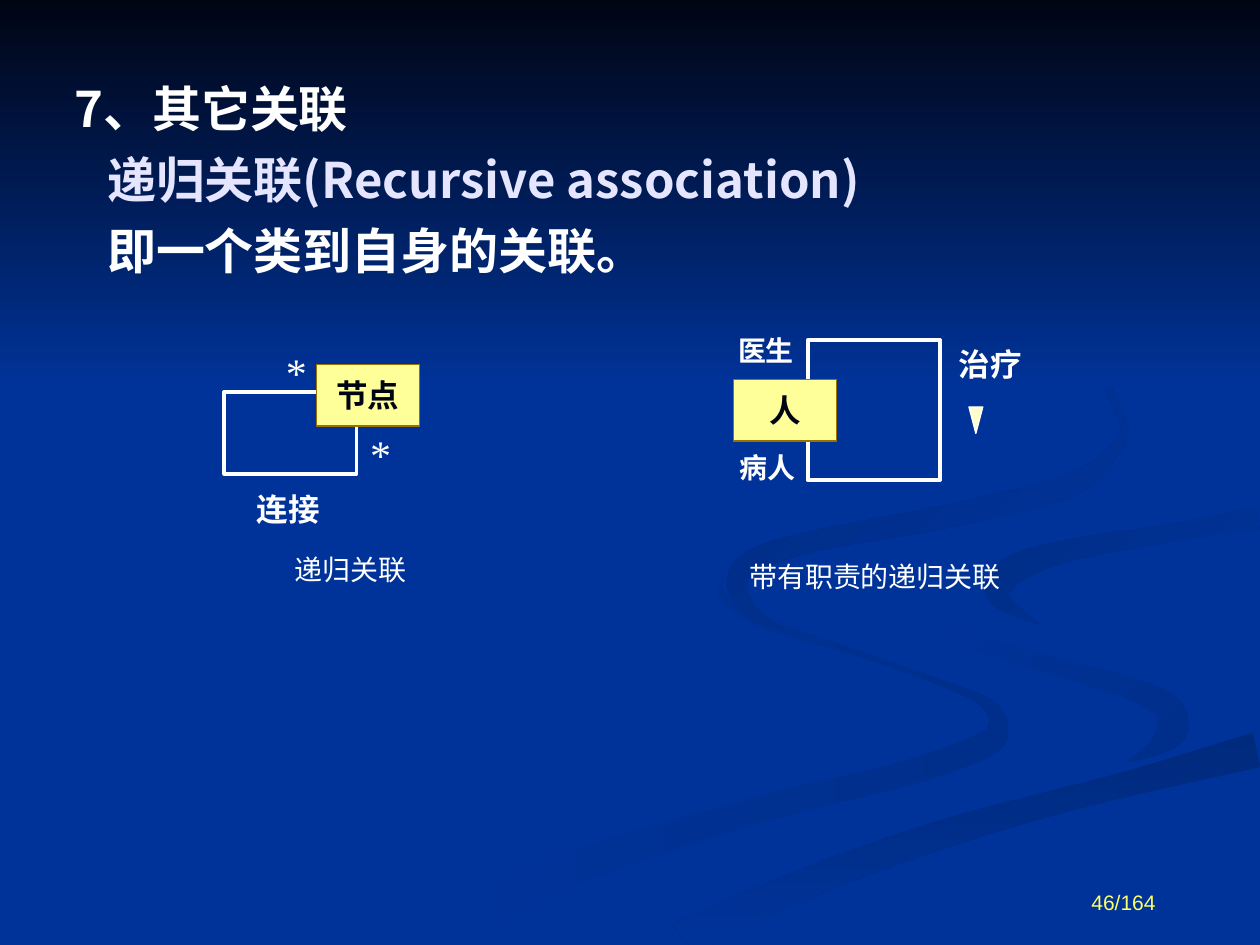
"""Build the slide on recursive associations, over a background of tapering ribbons."""
from math import hypot

from pptx import Presentation
from pptx.dml.color import RGBColor
from pptx.enum.shapes import MSO_SHAPE as SHAPE
from pptx.enum.text import MSO_ANCHOR as ANCHOR, MSO_AUTO_SIZE as AUTO, PP_ALIGN as ALIGN
from pptx.oxml.ns import qn
from pptx.util import Inches, Pt

BLUE = RGBColor(0x00, 0x33, 0x99)
NAVY = RGBColor(0x00, 0x05, 0x14)
SHADE = RGBColor(0x00, 0x2E, 0x8B)
SHADE_DARK = RGBColor(0x00, 0x2A, 0x7D)
SHADE_MID = RGBColor(0x00, 0x2D, 0x86)
SHADE_TOP = RGBColor(0x00, 0x2B, 0x82)
WHITE = RGBColor(0xFF, 0xFF, 0xFF)
LAVENDER = RGBColor(0xE5, 0xE5, 0xFF)
YELLOW = RGBColor(0xFF, 0xFF, 0x99)
CREAM = RGBColor(0xFF, 0xFF, 0xCC)
BROWN = RGBColor(0x9A, 0x72, 0x00)
LEMON = RGBColor(0xFF, 0xFF, 0x66)
CJK, SERIF, SANS = "Noto Sans CJK SC", "Times New Roman", "Arial"
WIDTH, HEIGHT = 10, 7.5
STEPS = 6
UNITS = 1000


def ribbon(stations):
    """Outline a Catmull-Rom curve through (x, y, thickness) stations."""
    padded = [stations[0], *stations, stations[-1]]
    curve = []
    for quad in zip(padded, padded[1:], padded[2:], padded[3:]):
        for t in (step / STEPS for step in range(STEPS)):
            curve.append([
                b + t * (c - a) / 2 + t**2 * (2 * a - 5 * b + 4 * c - d) / 2
                + t**3 * (3 * b - a - 3 * c + d) / 2
                for a, b, c, d in zip(*quad)])
    curve.append(stations[-1])
    one_side, other_side = [], []
    for before, (x, y, thickness), after in zip([curve[0], *curve], curve, [*curve[1:], curve[-1]]):
        dx, dy = after[0] - before[0], after[1] - before[1]
        half = max(thickness, 0) / 2 / hypot(dx, dy)
        for side, sign in ((one_side, 1), (other_side, -1)):
            px, py = x - sign * half * dy, y + sign * half * dx
            side.append((min(px, WIDTH) * UNITS, min(py, HEIGHT) * UNITS))
    return one_side + other_side[::-1]


def write(p, text, size, font, color, bold=False):
    r = p.add_run()
    r.text = text
    for name, value in {"size": Pt(size), "name": font, "bold": bold}.items():
        setattr(r.font, name, value)
    r.font.color.rgb = color
    ea = r.font._element.makeelement(qn("a:ea"), {"typeface": CJK})
    r.font._element.find(qn("a:latin")).addnext(ea)


prs = Presentation()
prs.slide_width, prs.slide_height = Inches(WIDTH), Inches(HEIGHT)
s = prs.slides.add_slide(prs.slide_layouts[5])
s.background.fill.solid()
s.background.fill.fore_color.rgb = BLUE

lower_swirl = [
    (5.74, 4.6, 0), (5.74, 4.74, 0.06), (6.06, 4.94, 0.08), (6.85, 5.2, 0.04),
    (7.55, 5.45, 0.05), (7.85, 5.6, 0.1), (7.92, 5.78, 0.16), (7.8, 5.92, 0.2),
    (7.18, 6.14, 0.19), (6.2, 6.38, 0.2), (5.04, 6.72, 0.24), (4.24, 7.02, 0.28),
    (3.3, 7.49, 0.4)]
right_swirl = [
    (7.24, 4.64, 0), (7.3, 4.8, 0.04), (7.6, 5.04, 0.1), (8.2, 5.24, 0.13),
    (8.9, 5.44, 0.16), (9.25, 5.6, 0.21), (9.3, 5.79, 0.25), (9.16, 5.94, 0.12),
    (8.94, 6.05, 0)]
dark_band = [
    (9.98, 5.95, 0.28), (9.03, 6.2, 0.2), (8.33, 6.38, 0.19), (7.55, 6.6, 0.22),
    (6.68, 6.9, 0.23), (6.06, 7.16, 0.25), (5.4, 7.48, 0.32)]
right_band = [
    (8.26, 4.96, 0), (7.97, 4.79, 0.13), (7.93, 4.65, 0.22), (8.08, 4.5, 0.22),
    (8.52, 4.36, 0.17), (9.35, 4.22, 0.14), (9.98, 4.11, 0.18)]
upper_swirl = [
    (7.62, 2.33, 0), (8.23, 2.63, 0.04), (8.7, 2.96, 0.06), (8.91, 3.35, 0.05),
    (8.89, 3.52, 0.07), (8.6, 3.8, 0.16), (8.21, 3.94, 0.18), (7.36, 4.13, 0.18),
    (6.53, 4.28, 0.16), (6.02, 4.43, 0.18), (5.85, 4.61, 0.16), (5.95, 4.84, 0.1),
    (6.22, 5, 0)]

decorations = []
for stations, start, end, angle in [
        (lower_swirl, BLUE, SHADE, 0), (right_swirl, BLUE, SHADE, 45),
        (dark_band, SHADE_DARK, BLUE, 90), (right_band, SHADE_MID, BLUE, 45),
        (upper_swirl, SHADE_TOP, BLUE, 45)]:
    outline = ribbon(stations)
    builder = s.shapes.build_freeform(*outline[0], scale=Inches(1) / UNITS)
    builder.add_line_segments(outline[1:], close=True)
    decorations.append((builder.convert_to_shape(), start, end, angle))
top_fade = s.shapes.add_shape(SHAPE.RECTANGLE, *map(Inches, (0, 0, WIDTH, 3.08)))
decorations.append((top_fade, NAVY, BLUE, 90))

for sp, start, end, angle in decorations:
    sp.shadow.inherit = False
    sp.line.fill.background()
    sp.fill.gradient()
    sp.fill.gradient_angle = -angle % 360
    for stop, color in zip(sp.fill.gradient_stops, (start, end)):
        stop.color.rgb = color

title = s.shapes.title
s.shapes._spTree.append(title._element)
for name, value in {"left": 0.49, "top": 0.57, "width": 8.41, "height": 1.7}.items():
    setattr(title, name, Inches(value))
tf = title.text_frame
for name, value in {"word_wrap": True, "auto_size": AUTO.NONE, "vertical_anchor": ANCHOR.TOP}.items():
    setattr(tf, name, value)
for i, (text, color) in enumerate([
        ("7、其它关联", WHITE), ("递归关联(Recursive association)", LAVENDER),
        ("即一个类到自身的关联。", WHITE)]):
    p = tf.add_paragraph() if i else tf.paragraphs[0]
    p.alignment = ALIGN.LEFT
    if i:
        p.space_before = Pt(7)
        p._p.get_or_add_pPr().set("marL", str(Inches(0.26)))
    write(p, text, 28, CJK, color, True)

node_size = (0.82, 0.49)
loop_format = (SHAPE.RECTANGLE, None, WHITE, 2.25)
node_format = (SHAPE.RECTANGLE, YELLOW, BROWN, 0.75)
arrow_format = (SHAPE.FLOWCHART_MERGE, CREAM, WHITE, 0.75)
for place, (kind, fill, line, width), text in [
        ((1.78, 3.11, 1.05, 0.65), loop_format, ""),
        ((2.51, 2.89, *node_size), node_format, "节点"),
        ((6.41, 2.7, 1.05, 1.11), loop_format, ""),
        ((5.82, 3.01, *node_size), node_format, "人"),
        ((7.69, 3.23, 0.11, 0.21), arrow_format, "")]:
    sp = s.shapes.add_shape(kind, *map(Inches, place))
    sp.shadow.inherit = False
    if fill is None:
        sp.fill.background()
    else:
        sp.fill.solid()
        sp.fill.fore_color.rgb = fill
    sp.line.color.rgb = line
    sp.line.width = Pt(width)
    if text:
        tf = sp.text_frame
        tf.word_wrap = False
        tf.vertical_anchor = ANCHOR.MIDDLE
        p = tf.paragraphs[0]
        p.alignment = ALIGN.CENTER
        write(p, text, 18, SERIF, NAVY, True)

name_style = (0.4, (18, SERIF, WHITE, True), ALIGN.LEFT, 1, ANCHOR.TOP)
role_style = (0.37, (16, SERIF, WHITE, True), ALIGN.LEFT, 1, ANCHOR.TOP)
many_style = (0.5, (24, SERIF, WHITE), ALIGN.LEFT, 1, ANCHOR.TOP)
caption_style = (0.34, (16, CJK, WHITE), ALIGN.CENTER, 0.9, ANCHOR.TOP)
number_style = (0.52, (12, SANS, LEMON), ALIGN.RIGHT, 1, ANCHOR.BOTTOM)
for text, left, top, width, (height, font, align, spacing, anchor) in [
        ("连接", 1.94, 3.84, 1.1, name_style),
        ("*", 2.84, 3.35, 0.7, many_style),
        ("*", 2.17, 2.7, 0.7, many_style),
        ("递归关联", 1.72, 4.37, 2.12, caption_style),
        ("治疗", 7.51, 2.69, 1.1, name_style),
        ("病人", 5.77, 3.53, 0.7, role_style),
        ("医生", 5.76, 2.6, 0.7, role_style),
        ("带有职责的递归关联", 5.39, 4.42, 3.11, caption_style),
        ("46/164", 6.94, 6.79, 2.33, number_style)]:
    tf = s.shapes.add_textbox(*map(Inches, (left, top, width, height))).text_frame
    tf.word_wrap = True
    tf.vertical_anchor = anchor
    p = tf.paragraphs[0]
    p.alignment = align
    p.line_spacing = spacing
    write(p, text, *font)

prs.save("out.pptx")
